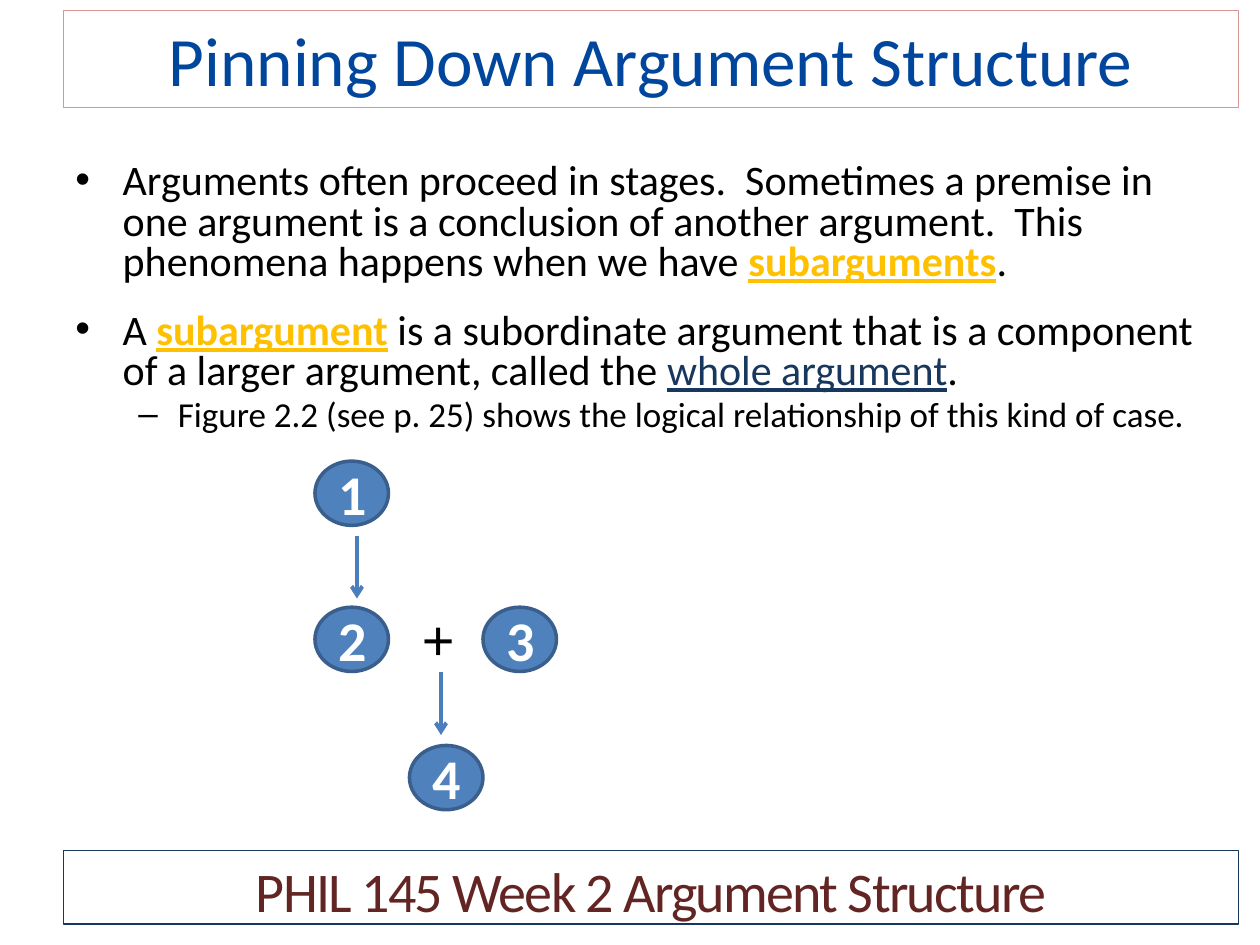
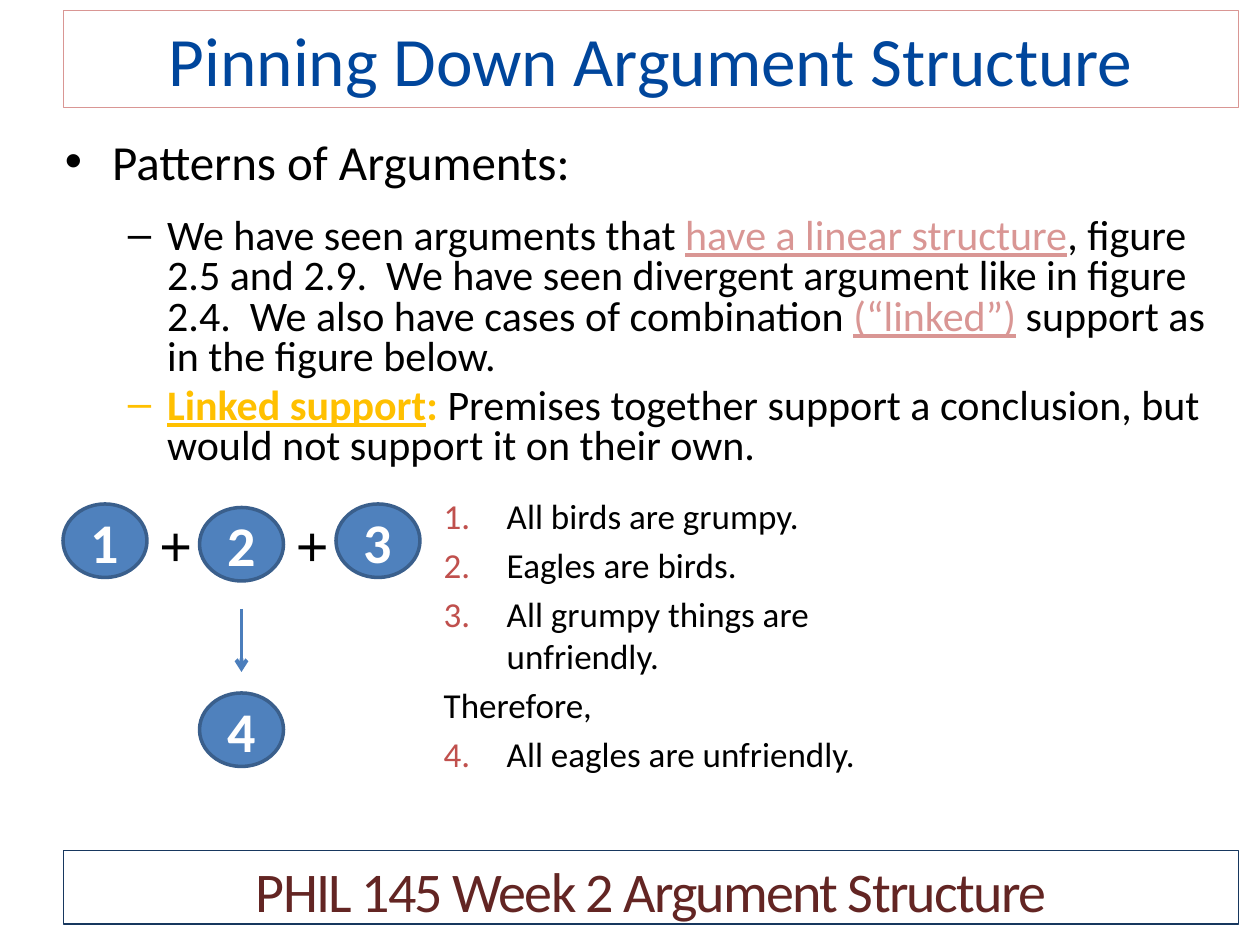
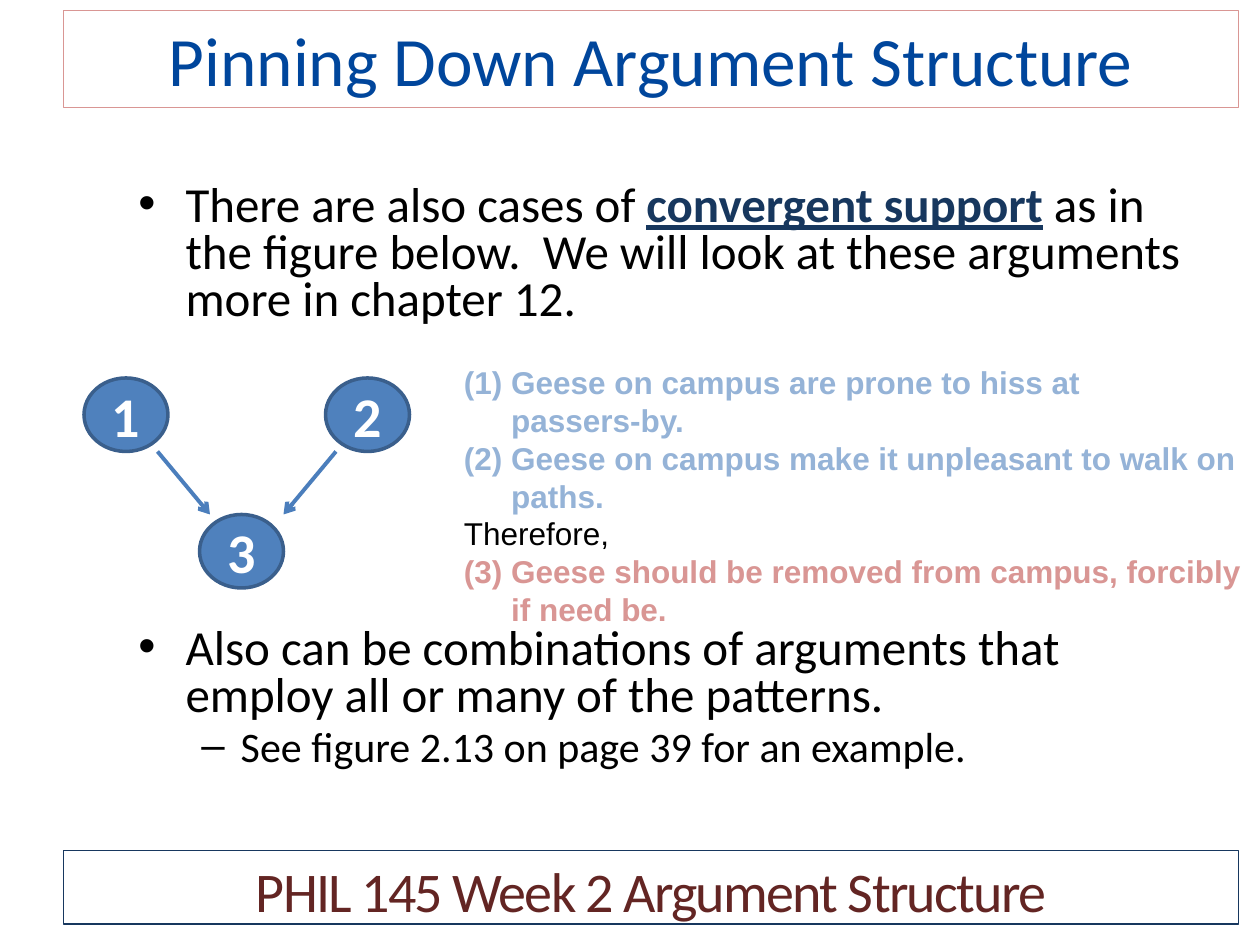
from lxml import etree
from pptx import Presentation
from pptx.dml.color import RGBColor
from pptx.enum import shapes, text
from pptx.oxml import ns
from pptx.util import Pt

TITLE = "Pinning Down Argument Structure"
FOOTER = "PHIL 145 Week 2 Argument Structure"
BLACK, WHITE, NAVY, GOLD, ROSE = "000000", "FFFFFF", "17375E", "FFC000", "D99694"
BLUE, RIM, ARROW, SKY, RED = "4F81BD", "3A5F8C", "4B7EBC", "95B3D7", "C0504D"
BAND_LEFT, BAND_WIDTH = 36.2, 671.6

KEY = dict(color=GOLD, bold=True, underline=True)
LINK = dict(color=ROSE, underline=True)
POINT = dict(left=27, first=-27, char="•", line=0.8)
DASH = dict(left=58.5, first=-22.5, char="–", line=0.8)
STEP = dict(left=96.5, first=-36, number="arabicPeriod", mark=RED, before=4)
CLAIM = dict(left=27, first=-27, number="arabicParenBoth")
REST = dict(left=27)
PREMISE = dict(color=SKY, bold=True)
RESULT = dict(color=ROSE, bold=True)

SLIDES = [
    dict(
        texts=[dict(box=(36, 90, 660, 378), size=24, paras=[
            (dict(POINT, before=4.8), [
                "Arguments often proceed in stages.  Sometimes a premise in one argument is "
                "a conclusion of another argument.  This phenomena happens when we have ",
                ("subarguments", KEY), "."]),
            (dict(POINT, before=16.4), [
                "A ", ("subargument", KEY),
                " is a subordinate argument that is a component of a larger argument, "
                "called the ",
                ("whole argument", dict(color=NAVY, underline=True)), "."]),
            (dict(DASH, before=4), [
                ("Figure 2.2 (see p. 25) shows the logical relationship of this kind of case.",
                 dict(size=20))]),
        ])],
        node=(42, 36.75),
        nodes=[("1", 180, 263.5), ("2", 180, 347), ("3", 276, 347), ("4", 234, 426)],
        pluses=[(234, 342)],
        arrows=[(204, 306, 204, 342), (252, 384, 252, 420)],
    ),
    dict(
        texts=[
            dict(box=(30, 78, 678, 360), size=24, paras=[
                (dict(POINT, before=5.6), [("Patterns of Arguments:", dict(size=28))]),
                (dict(DASH, before=16.4), [
                    "We have seen arguments that ", ("have a linear structure", LINK),
                    ", figure 2.5 and 2.9.  We have seen divergent argument like in figure "
                    "2.4.  We also have cases of combination ",
                    ("(“linked”)", LINK), " support as in the figure below."]),
                (dict(DASH, before=4.8), [
                    ("Linked support", KEY), (":", dict(color=GOLD, bold=True)),
                    " Premises together support a conclusion, but would not support it "
                    "on their own."]),
            ]),
            dict(box=(186, 279, 330, 195), size=20, paras=[
                (STEP, ["All birds are grumpy."]),
                (STEP, ["Eagles are birds."]),
                (STEP, ["All grumpy things are unfriendly."]),
                (dict(left=60.5, before=4), ["Therefore,"]),
                (dict(STEP, start=4), ["All eagles are unfriendly."]),
            ]),
        ],
        node=(48, 42),
        nodes=[("1", 36, 288), ("2", 114, 290), ("3", 192, 288), ("4", 114, 396)],
        pluses=[(84, 288), (162, 288)],
        arrows=[(138, 348, 138, 384)],
    ),
    dict(
        texts=[
            dict(box=(72, 102, 612, 360), size=28, paras=[
                (dict(POINT, before=5.6), [
                    "There are also cases of ",
                    ("convergent support", dict(color=NAVY, bold=True, underline=True)),
                    " as in the figure below.  We will look at these arguments more in "
                    "chapter 12."]),
                (dict(POINT, before=172.5), [
                    "Also can be combinations of arguments that employ all or many of the "
                    "patterns."]),
                (dict(DASH, before=4.8), [
                    ("See figure 2.13 on page 39 for an example.", dict(size=24))]),
            ]),
            dict(box=(258, 204, 462, 150), size=18, font="Arial", paras=[
                (CLAIM, [("Geese on campus are prone to hiss at", PREMISE)]),
                (REST, [("passers-by.", PREMISE)]),
                (dict(CLAIM, start=2),
                 [("Geese on campus make it unpleasant to walk on", PREMISE)]),
                (REST, [("paths.", PREMISE)]),
                ({}, ["Therefore,"]),
                (dict(CLAIM, start=3),
                 [("Geese should be removed from campus, forcibly", RESULT)]),
                (REST, [("if need be.", RESULT)]),
            ]),
        ],
        node=(48, 42),
        nodes=[("1", 48, 216), ("2", 186, 216), ("3", 114, 294)],
        pluses=[],
        arrows=[(192, 258, 162, 294), (90, 258, 120, 294)],
    ),
]


def rgb(value):
    return RGBColor.from_string(value)


def sub(parent, tag, **attrs):
    el = etree.SubElement(parent, ns.qn(tag))
    for name, value in attrs.items():
        el.set(name, str(value))
    return el


def write(p, words, size=24, color=BLACK, font="Calibri", bold=False,
          underline=False, spacing=None):
    r = p.add_run()
    r.text = words
    f = r.font
    f.size, f.name, f.bold, f.underline = Pt(size), font, bold, underline
    f.color.rgb = rgb(color)
    if spacing is not None:
        r._r.get_or_add_rPr().set("spc", str(spacing * 100))


def layout(p, left=0, first=0, line=None, before=0, char=None, number=None,
           start=None, mark=None):
    p.space_before = Pt(before)
    if line:
        p.line_spacing = line
    pPr = p._p.get_or_add_pPr()
    pPr.set("marL", str(Pt(left)))
    pPr.set("indent", str(Pt(first)))
    if mark:
        sub(sub(pPr, "a:buClr"), "a:srgbClr", val=mark)
    if char:
        sub(pPr, "a:buFont", typeface="Arial")
        sub(pPr, "a:buChar", char=char)
    elif number:
        sub(pPr, "a:buAutoNum", type=number, **({"startAt": start} if start else {}))
    else:
        sub(pPr, "a:buNone")


def textbox(s, box, paras, size, font="Calibri", wrap=True):
    tf = s.shapes.add_textbox(*map(Pt, box)).text_frame
    tf.word_wrap = wrap
    for i, (form, runs) in enumerate(paras):
        p = tf.paragraphs[0] if i == 0 else tf.add_paragraph()
        layout(p, **form)
        for run in runs:
            words, style = (run, {}) if isinstance(run, str) else run
            write(p, words, **{"size": size, "font": font, **style})
    return tf


def shape(s, kind, box, words, line, width, fill=None, anchor="MIDDLE", **style):
    sp = s.shapes.add_shape(shapes.MSO_SHAPE[kind], *map(Pt, box))
    sp.shadow.inherit = False
    if fill:
        sp.fill.solid()
        sp.fill.fore_color.rgb = rgb(fill)
    else:
        sp.fill.background()
    sp.line.color.rgb, sp.line.width = rgb(line), Pt(width)
    tf = sp.text_frame
    tf.vertical_anchor = text.MSO_ANCHOR[anchor]
    p = tf.paragraphs[0]
    p.alignment = text.PP_ALIGN.CENTER
    write(p, words, **style)


def arrow(s, ends):
    c = s.shapes.add_connector(shapes.MSO_CONNECTOR.STRAIGHT, *map(Pt, ends))
    c.line.color.rgb, c.line.width = rgb(ARROW), Pt(2.25)
    sub(c.line._get_or_add_ln(), "a:tailEnd", type="arrow")
    sub(c._element.spPr, "a:effectLst")


prs = Presentation()
prs.slide_width, prs.slide_height = Pt(720), Pt(540)
for page in SLIDES:
    s = prs.slides.add_slide(prs.slide_layouts[6])
    shape(s, "RECTANGLE", (BAND_LEFT, 6, BAND_WIDTH, 55.5), TITLE, ROSE, 0.75,
          size=39.6, color="00469C")
    for block in page["texts"]:
        textbox(s, **block)
    for label, x, y in page["nodes"]:
        shape(s, "OVAL", (x, y, *page["node"]), label, RIM, 2, fill=BLUE,
              size=32, color=WHITE, bold=True)
    for x, y in page["pluses"]:
        tf = textbox(s, (x, y, 33, 46), [({}, ["+"])], 32, font="Arial", wrap=False)
        tf.auto_size = text.MSO_AUTO_SIZE.SHAPE_TO_FIT_TEXT
    for ends in page["arrows"]:
        arrow(s, ends)
    shape(s, "RECTANGLE", (BAND_LEFT, 486, BAND_WIDTH, 42), FOOTER, NAVY, 0.75,
          anchor="TOP", size=32, color="632523", spacing=-1)
prs.save("out.pptx")
